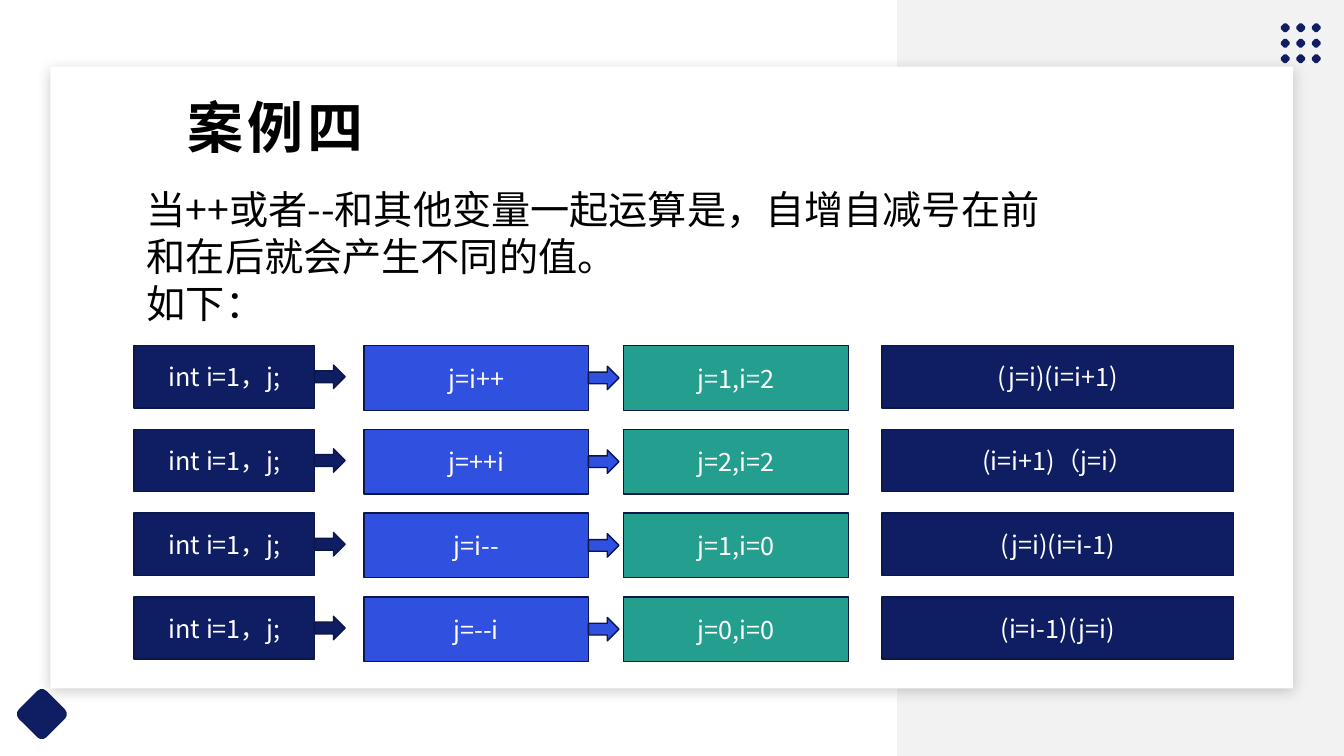
from lxml.etree import SubElement
from pptx import Presentation
from pptx.dml.color import RGBColor
from pptx.enum.shapes import MSO_SHAPE as Preset
from pptx.enum.text import MSO_ANCHOR as Anchor, PP_ALIGN as Align
from pptx.oxml.ns import qn
from pptx.util import Cm, Pt

NAVY, BLUE, TEAL = "0F1E62", "3050DF", "239E8F"
OUTLINE, GREY, WHITE, BLACK = "0B1649", "F2F2F2", "FFFFFF", "000000"

ROWS = [
    ("int i=1，j;", "j=i++", "j=1,i=2", "(j=i)(i=i+1)"),
    ("int i=1，j;", "j=++i", "j=2,i=2", "(i=i+1)（j=i）"),
    ("int i=1，j;", "j=i--", "j=1,i=0", "(j=i)(i=i-1)"),
    ("int i=1，j;", "j=--i", "j=0,i=0", "(i=i-1)(j=i)"),
]
# left, width, height, fill of each column
COLUMNS = [
    (3.38, 4.55, 1.57, NAVY),
    (9.17, 5.66, 1.63, BLUE),
    (15.72, 5.66, 1.63, TEAL),
    (22.23, 8.86, 1.57, NAVY),
]
ROW_TOP, ROW_PITCH = 8.71, 2.11
ARROW_WIDTH, ARROW_HEIGHT = 0.77, 0.59
ARROW_COLUMNS = 2


def color(value):
    return RGBColor.from_string(value)


def write(frame, text, size=18, fill=BLACK, align=Align.LEFT, anchor=Anchor.TOP,
          bold=False, tracking=None, line_spacing=None):
    """Fill a text frame, one paragraph for each line of text."""
    frame.word_wrap = True
    frame.vertical_anchor = anchor
    for index, line in enumerate(text.split("\n")):
        paragraph = frame.add_paragraph() if index else frame.paragraphs[0]
        paragraph.alignment = align
        if line_spacing:
            paragraph.line_spacing = line_spacing
        run = paragraph.add_run()
        run.text = line
        run.font.size = Pt(size)
        run.font.bold = bold
        run.font.color.rgb = color(fill)
        run.font.name = SlideBuilder.font
        properties = run.font._element
        SubElement(properties, qn("a:ea"), typeface=SlideBuilder.font)
        if tracking:
            properties.set("spc", str(tracking * 100))


class SlideBuilder:
    font = "Noto Sans CJK SC"

    def __init__(self, presentation):
        self.slide = presentation.slides.add_slide(presentation.slide_layouts[6])

    def paint(self, shape, fill, line=None):
        shape.shadow.inherit = False
        shape.fill.solid()
        shape.fill.fore_color.rgb = color(fill)
        if line:
            shape.line.color.rgb = color(line)
            shape.line.width = Pt(1)
        else:
            shape.line.fill.background()
        return shape

    def block(self, left, top, width, height, fill, line=None, preset=Preset.RECTANGLE):
        shape = self.slide.shapes.add_shape(
            preset, Cm(left), Cm(top), Cm(width), Cm(height))
        return self.paint(shape, fill, line)

    def panel(self, left, top, width, height):
        """Add a white card with a soft shadow below it."""
        card = self.block(left, top, width, height, WHITE)
        effects = card._element.spPr.find(qn("a:effectLst"))
        shadow = SubElement(effects, qn("a:outerShdw"), blurRad=str(Pt(10)),
                            dist=str(Pt(3)), dir="5400000", algn="t", rotWithShape="0")
        tint = SubElement(shadow, qn("a:srgbClr"), val="0D0D0D")
        SubElement(tint, qn("a:alpha"), val="20000")

    def text(self, left, top, width, height, text, margins=None, **style):
        box = self.slide.shapes.add_textbox(Cm(left), Cm(top), Cm(width), Cm(height))
        frame = box.text_frame
        if margins:
            (frame.margin_left, frame.margin_top,
             frame.margin_right, frame.margin_bottom) = map(Cm, margins)
        write(frame, text, **style)

    def dots(self, left, top, pitch, radius, cut, count=3):
        """Draw a square grid of blunted diamonds as one outline."""
        corners = [(cut, -radius), (radius, -cut), (radius, cut), (cut, radius),
                   (-cut, radius), (-radius, cut), (-radius, -cut), (-cut, -radius)]
        builder = None
        for index in range(count * count):
            row, column = divmod(index, count)
            start, *others = [(Cm(left + column * pitch + x), Cm(top + row * pitch + y))
                              for x, y in corners]
            if builder is None:
                builder = self.slide.shapes.build_freeform(*start, scale=1.0)
            else:
                builder.move_to(*start)
            builder.add_line_segments(others, close=True)
        self.paint(builder.convert_to_shape(), NAVY)

    def example_row(self, top, labels):
        for index, (label, column) in enumerate(zip(labels, COLUMNS)):
            left, width, height, fill = column
            box = self.block(left, top, width, height, fill, OUTLINE)
            write(box.text_frame, label, fill=WHITE, align=Align.CENTER,
                  anchor=Anchor.MIDDLE)
            if index < ARROW_COLUMNS:
                self.block(left + width, top + (height - ARROW_HEIGHT) / 2, ARROW_WIDTH,
                           ARROW_HEIGHT, fill, OUTLINE, Preset.RIGHT_ARROW)


def main():
    presentation = Presentation()
    presentation.slide_width, presentation.slide_height = Cm(33.87), Cm(19.05)
    page = SlideBuilder(presentation)

    page.block(22.61, 0, 11.26, 19.05, GREY)
    diamond = page.block(0.56, 17.5, 0.99, 0.99, NAVY, preset=Preset.ROUNDED_RECTANGLE)
    diamond.rotation = 45
    page.dots(32.39, 0.7, pitch=0.39, radius=0.11, cut=0.03)
    page.panel(1.27, 1.68, 31.32, 15.67)

    page.text(1.27, 1.68, 11.33, 2.84, "案例四", margins=(0.2, 0.1, 0.2, 0.3), size=40,
              bold=True, tracking=3, line_spacing=1.2, align=Align.CENTER,
              anchor=Anchor.MIDDLE)
    page.text(3.45, 4.55, 23.11, 3.84,
              "当++或者--和其他变量一起运算是，自增自减号在前和在后就会产生不同的值。\n如下：",
              size=28)
    for index, labels in enumerate(ROWS):
        page.example_row(ROW_TOP + index * ROW_PITCH, labels)

    presentation.save("out.pptx")


if __name__ == "__main__":
    main()
